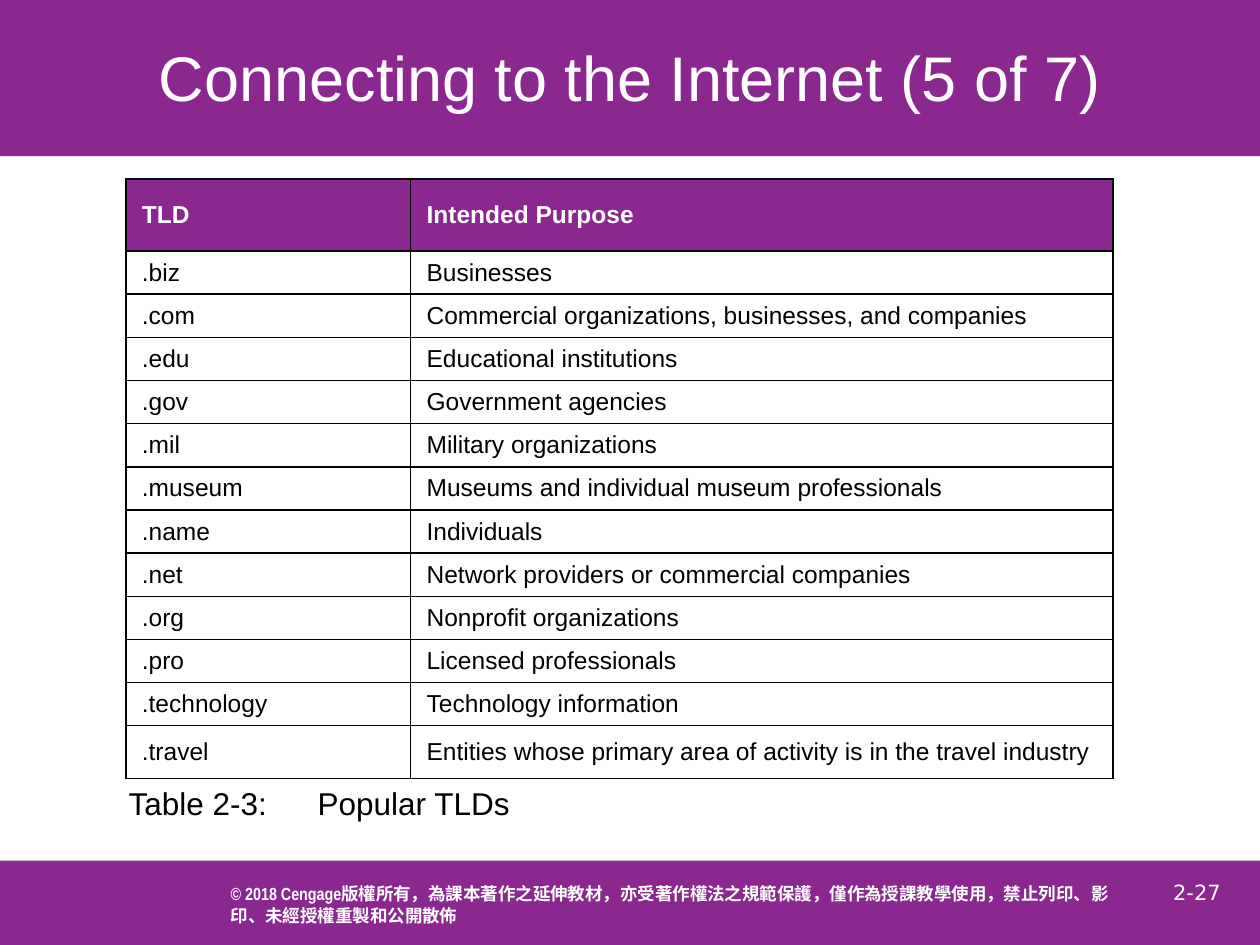
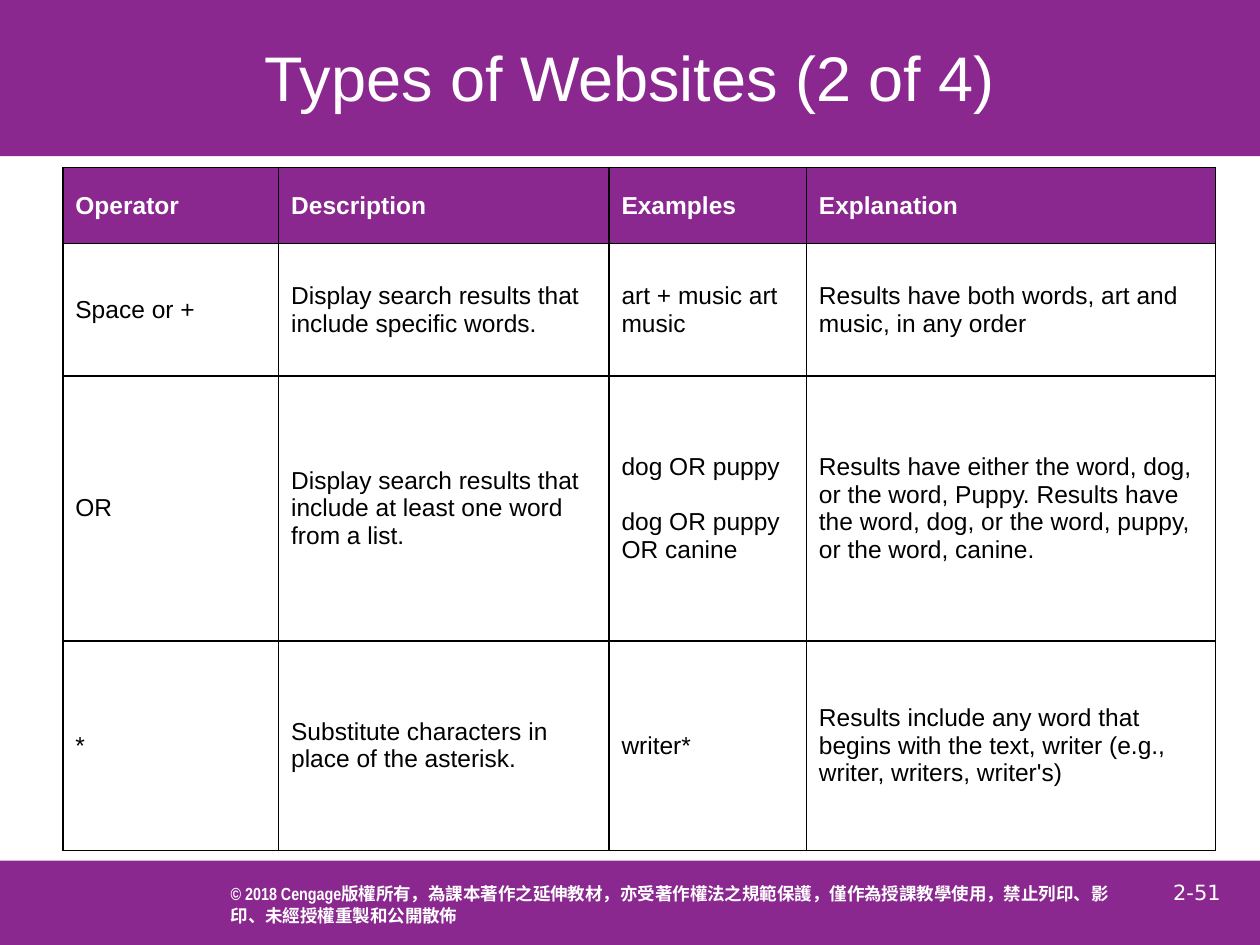
from dataclasses import dataclass

from lxml.etree import SubElement
from pptx import Presentation
from pptx.dml.color import RGBColor
from pptx.enum.shapes import MSO_SHAPE as Shape
from pptx.enum.text import MSO_ANCHOR as Anchor, PP_ALIGN as Align
from pptx.oxml.ns import qn
from pptx.util import Cm, Pt

# Content
NOTICE = [
    ("© 2018 Cengage", "Arial Narrow"),
    ("版權所有，為課本著作之延伸教材，亦受著作權法之規範保護，僅作為授課教學使用，"
     "禁止列印、影印、未經授權重製和公開散佈", "Calibri"),
]

DOMAINS = {
    "title": "Connecting to the Internet (5 of 7)",
    "page": "2-27",
    "caption": "Table 2-3:\tPopular TLDs",
    "origin": (2.54, 3.61),
    "columns": [5.74, 14.16],
    "heights": [1.45] + [0.87] * 11 + [1.06],
    "side_inset": 0.32,
    "rows": [
        ("TLD", "Intended Purpose"),
        (".biz", "Businesses"),
        (".com", "Commercial organizations, businesses, and companies"),
        (".edu", "Educational institutions"),
        (".gov", "Government agencies"),
        (".mil", "Military organizations"),
        (".museum", "Museums and individual museum professionals"),
        (".name", "Individuals"),
        (".net", "Network providers or commercial companies"),
        (".org", "Nonprofit organizations"),
        (".pro", "Licensed professionals"),
        (".technology", "Technology information"),
        (".travel", "Entities whose primary area of activity is in the travel industry"),
    ],
}

OPERATORS = {
    "title": "Types of Websites (2 of 4)",
    "page": "2-51",
    "caption": None,
    "origin": (1.27, 3.38),
    "columns": [4.35, 6.66, 3.98, 8.24],
    "heights": [1.53, 2.67, 5.34, 4.22],
    "side_inset": 0.25,
    "rows": [
        ("Operator", "Description", "Examples", "Explanation"),
        ("Space or +", "Display search results that include specific words.",
         "art + music art music",
         "Results have both words, art and music, in any order"),
        ("OR", "Display search results that include at least one word from a list.",
         "dog OR puppy\ndog OR puppy OR canine",
         "Results have either the word, dog, or the word, Puppy. Results have "
         "the word, dog, or the word, puppy, or the word, canine."),
        ("*", "Substitute characters in place of the asterisk.", "writer*",
         "Results include any word that begins with the text, writer "
         "(e.g., writer, writers, writer's)"),
    ],
}


@dataclass(frozen=True)
class Theme:
    purple: RGBColor = RGBColor(0x8A, 0x28, 0x8F)
    white: RGBColor = RGBColor(0xFF, 0xFF, 0xFF)
    black: RGBColor = RGBColor(0, 0, 0)
    face: str = "Arial"
    page_face: str = "DejaVu Sans"
    title_size: int = 36
    caption_size: int = 18
    table_size: int = 14
    page_size: int = 12
    notice_size: int = 10


THEME = Theme()
WIDTH, HEIGHT = 25.4, 19.05
FOOTER_TOP = 17.35


# Text and shape helpers
def add_run(paragraph, text, size, color, face=THEME.face, bold=False):
    run = paragraph.add_run()
    run.text = text
    font = run.font
    font.name, font.size, font.bold = face, Pt(size), bold
    font.color.rgb = color


def place(part, left, top, width, height):
    part.left, part.top = Cm(left), Cm(top)
    part.width, part.height = Cm(width), Cm(height)


def add_band(slide, left, top, width, height):
    band = slide.shapes.add_shape(
        Shape.RECTANGLE, Cm(left), Cm(top), Cm(width), Cm(height))
    band.fill.solid()
    band.fill.fore_color.rgb = THEME.purple
    band.line.fill.background()
    band.shadow.inherit = False
    return band


# Bands and rights notice, shared through the slide master
def dress_master(master, slide):
    header = add_band(slide, 0, 0, WIDTH, 3.15)
    footer = add_band(slide, 0, FOOTER_TOP, WIDTH, HEIGHT - FOOTER_TOP)
    notice = add_band(slide, 4.65, 17.5, 17.9, 1.47)
    frame = notice.text_frame
    frame.word_wrap = True
    frame.vertical_anchor = Anchor.MIDDLE
    frame.margin_left = frame.margin_right = frame.margin_top = frame.margin_bottom = 0
    frame.paragraphs[0].alignment = Align.LEFT
    for text, face in NOTICE:
        add_run(frame.paragraphs[0], text, THEME.notice_size, THEME.white, face, True)
    for number, part in enumerate((header, footer, notice), start=101):
        part._element.nvSpPr.cNvPr.set("id", str(number))
        master.shapes._spTree.append(part._element)


# Title, page number and caption
def write_title(slide, text):
    title = slide.shapes.title
    place(title, 0.13, 0.08, 25.14, 2.9)
    title.fill.solid()
    title.fill.fore_color.rgb = THEME.purple
    frame = title.text_frame
    frame.vertical_anchor = Anchor.MIDDLE
    frame.paragraphs[0].alignment = Align.CENTER
    add_run(frame.paragraphs[0], text, THEME.title_size, THEME.white)


def write_page(slide, page):
    frame = slide.shapes.add_textbox(
        Cm(22.86), Cm(FOOTER_TOP), Cm(2.54), Cm(1.27)).text_frame
    frame.word_wrap = True
    frame.vertical_anchor = Anchor.MIDDLE
    frame.paragraphs[0].alignment = Align.CENTER
    add_run(frame.paragraphs[0], page, THEME.page_size, THEME.white, THEME.page_face)


def write_caption(slide, text):
    caption = slide.placeholders[1]
    place(caption, 2.34, 15.67, 11, 1.07)
    line = caption.text_frame.paragraphs[0]
    line.space_before = Pt(0)
    props = line._p.get_or_add_pPr()
    props.set("marL", "0")
    props.set("indent", "0")
    SubElement(props, qn("a:buNone"))
    stops = SubElement(props, qn("a:tabLst"))
    SubElement(stops, qn("a:tab"), pos=str(Cm(3.14)), algn="l")
    add_run(line, text, THEME.caption_size, THEME.black)


# Tables
def outline(cell):
    props = cell._tc.get_or_add_tcPr()
    for side in ("a:lnL", "a:lnR", "a:lnT", "a:lnB"):
        edge = SubElement(props, qn(side), w=str(Pt(1)))
        fill = SubElement(edge, qn("a:solidFill"))
        SubElement(fill, qn("a:srgbClr"), val=str(THEME.black))


def write_cell(cell, text, heading, side_inset):
    outline(cell)
    cell.fill.solid()
    cell.fill.fore_color.rgb = THEME.purple if heading else THEME.white
    cell.vertical_anchor = Anchor.MIDDLE
    cell.margin_left = cell.margin_right = Cm(side_inset)
    color = THEME.white if heading else THEME.black
    for index, line in enumerate(text.split("\n")):
        frame = cell.text_frame
        paragraph = frame.add_paragraph() if index else frame.paragraphs[0]
        if index:
            paragraph.space_before = Pt(16)
        add_run(paragraph, line, THEME.table_size, color, bold=heading)


def draw_table(slide, topic):
    rows, columns, heights = topic["rows"], topic["columns"], topic["heights"]
    left, top = topic["origin"]
    grid = slide.shapes.add_table(
        len(rows), len(columns), Cm(left), Cm(top),
        Cm(sum(columns)), Cm(sum(heights))).table
    grid.first_row = grid.horz_banding = False
    for column, width in zip(grid.columns, columns):
        column.width = Cm(width)
    for r, (entries, height) in enumerate(zip(rows, heights)):
        grid.rows[r].height = Cm(height)
        for c, text in enumerate(entries):
            write_cell(grid.cell(r, c), text, r == 0, topic["side_inset"])


def main():
    deck = Presentation()
    deck.slide_width, deck.slide_height = Cm(WIDTH), Cm(HEIGHT)
    with_body, title_only = deck.slide_layouts[1], deck.slide_layouts[5]
    for topic in (DOMAINS, OPERATORS):
        slide = deck.slides.add_slide(with_body if topic["caption"] else title_only)
        if len(deck.slides) == 1:
            dress_master(deck.slide_master, slide)
        write_title(slide, topic["title"])
        draw_table(slide, topic)
        if topic["caption"]:
            write_caption(slide, topic["caption"])
        write_page(slide, topic["page"])
    deck.save("out.pptx")


if __name__ == "__main__":
    main()
